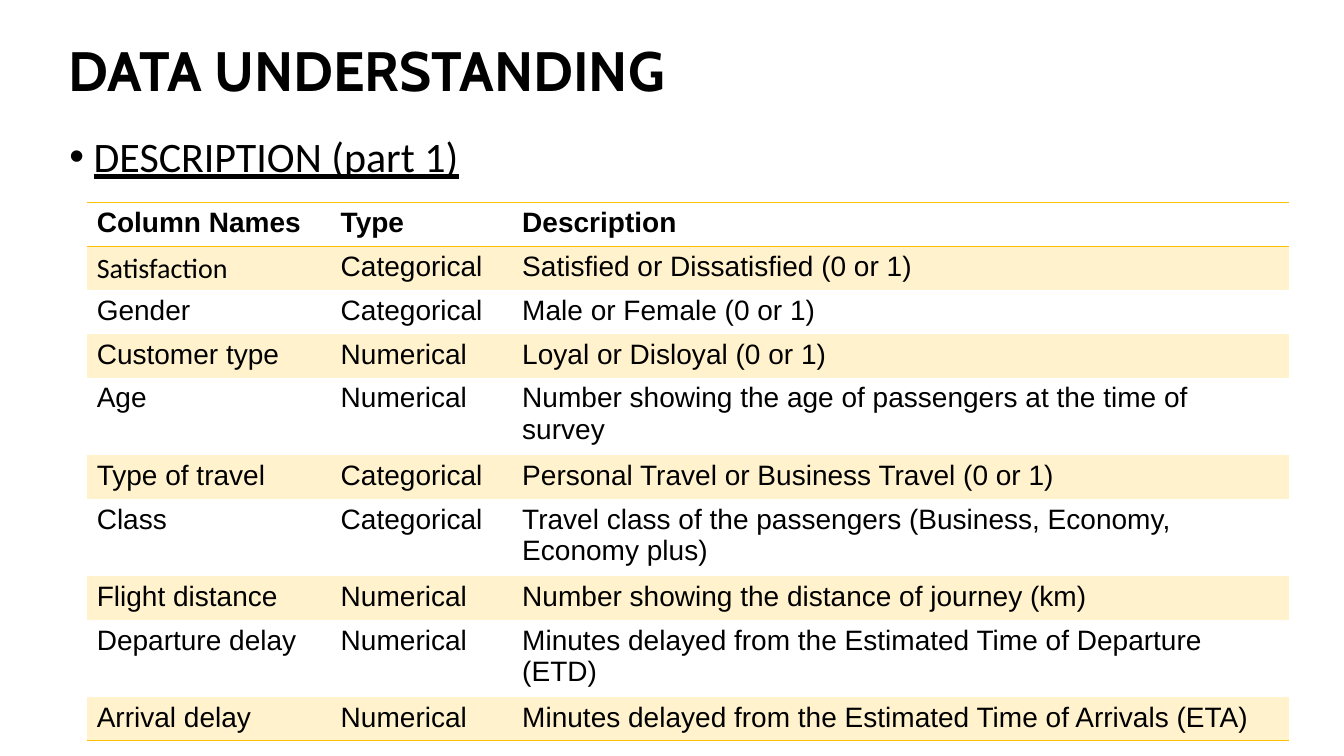
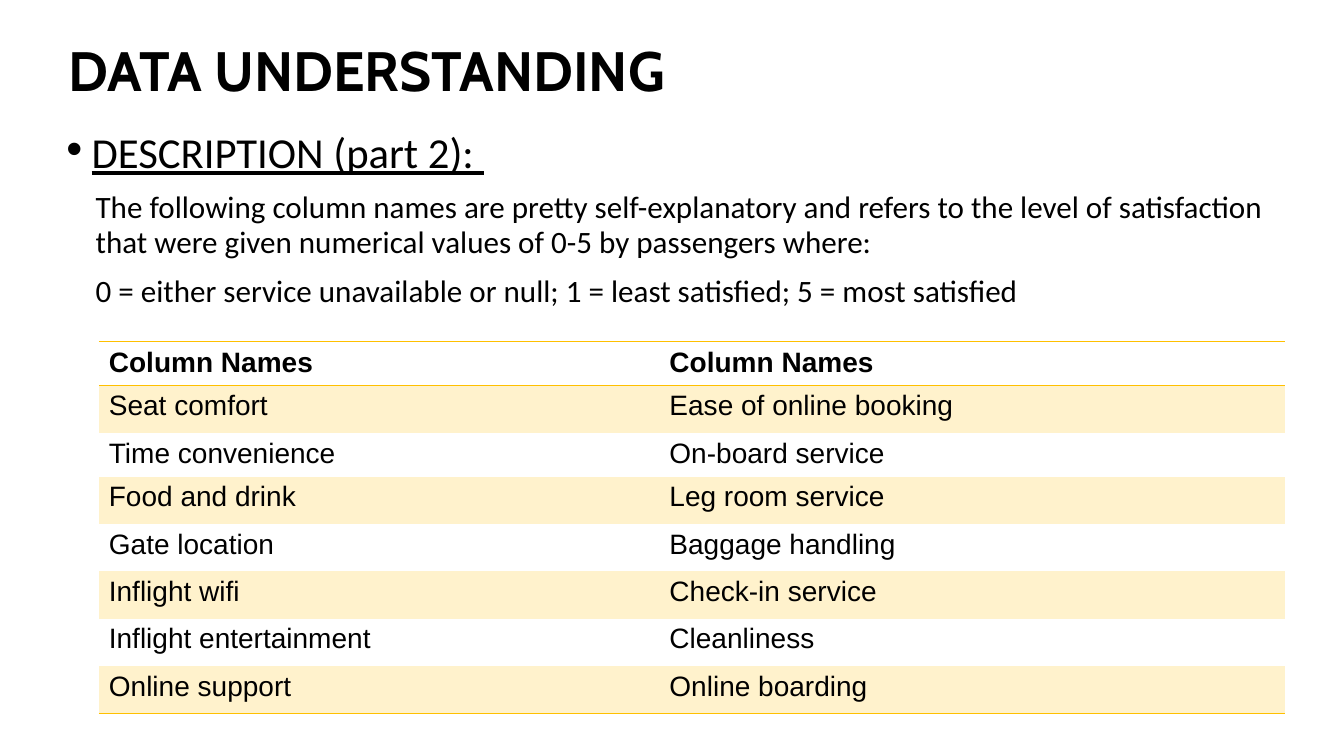
from lxml import etree
from pptx import Presentation
from pptx.dml.color import RGBColor
from pptx.enum import text as t
from pptx.oxml import ns
from pptx.util import Inches, Pt

COLORS = {"text": "000000", "rule": "FFC000", "band": "FFF2CC"}
FONTS = {"title": "Cabin", "body": "Calibri", "table": "Arial"}
NO_STYLE = "{2D5ABB26-0587-4C30-8999-92F81FD0307C}"
TITLE = "DATA UNDERSTANDING"

# Content: body lines are (list of (text, size), paragraph format)
NOTE = dict(indent=0.29, spacing=0.94, before=10)
SLIDES = [
    dict(
        body_box=(0.58, 1.3, 12.21, 0.65),
        body=[([("DESCRIPTION (part 1)", 30)],
               dict(indent=0.25, hanging=0.24, spacing=0.9, bullet=100, underline=True))],
        table_at=(0.86, 2.01),
        columns=(2.42, 1.8, 7.7),
        row_heights=[0.41] * 5 + [0.35, 0.41, 0.41, 0.48, 0.41],
        rows=[
            ("Column Names", "Type", "Description"),
            ("Satisfaction", "Categorical", "Satisfied or Dissatisfied (0 or 1)"),
            ("Gender", "Categorical", "Male or Female (0 or 1)"),
            ("Customer type", "Numerical", "Loyal or Disloyal (0 or 1)"),
            ("Age", "Numerical", "Number showing the age of passengers at the time of survey"),
            ("Type of travel", "Categorical", "Personal Travel or Business Travel (0 or 1)"),
            ("Class", "Categorical",
             "Travel class of the passengers (Business, Economy, Economy plus)"),
            ("Flight distance", "Numerical", "Number showing the distance of journey (km)"),
            ("Departure delay", "Numerical",
             "Minutes delayed from the Estimated Time of Departure (ETD)"),
            ("Arrival delay", "Numerical",
             "Minutes delayed from the Estimated Time of Arrivals (ETA)"),
        ],
        cell_fonts={"Satisfaction": FONTS["body"]},
    ),
    dict(
        body_box=(0.56, 1.32, 12.21, 2),
        body=[
            ([("DESCRIPTION (part 2):", 30.5), (" ", 32.5)],
             dict(indent=0.25, hanging=0.25, spacing=0.7, bullet=107, underline=True)),
            ([("The following column names are pretty self-explanatory and refers to the level "
               "of satisfaction that were given numerical values of 0-5 by passengers where:",
               22.2)], NOTE),
            ([("0 = either service unavailable or null; 1 = least satisfied; "
               "5 = most satisfied", 22.2)], NOTE),
        ],
        table_at=(0.98, 3.39),
        columns=(5.56, 6.21),
        row_heights=[0.43, 0.47, 0.35] + [0.47] * 5,
        rows=[
            ("Column Names", "Column Names"),
            ("Seat comfort", "Ease of online booking"),
            ("Time convenience", "On-board service"),
            ("Food and drink", "Leg room service"),
            ("Gate location", "Baggage handling"),
            ("Inflight wifi", "Check-in service"),
            ("Inflight entertainment", "Cleanliness"),
            ("Online support", "Online boarding"),
        ],
        cell_fonts={},
    ),
]


def add_element(parent, tag, **attributes):
    element = etree.SubElement(parent, ns.qn(tag))
    for name, value in attributes.items():
        element.set(name, str(value))
    return element


def add_text(paragraph, text, font, size, bold=False, underline=False):
    run = paragraph.add_run()
    run.text = text
    run.font.name = font
    run.font.size = Pt(size)
    run.font.bold = bold
    run.font.underline = underline
    run.font.color.rgb = RGBColor.from_string(COLORS["text"])


def format_paragraph(paragraph, indent, spacing, hanging=0, before=0, bullet=None):
    paragraph.line_spacing = spacing
    paragraph.space_before = Pt(before)
    properties = paragraph._p.get_or_add_pPr()
    properties.set("marL", str(Inches(indent)))
    properties.set("indent", str(-Inches(hanging)))
    if bullet:
        add_element(add_element(properties, "a:buClr"), "a:srgbClr", val=COLORS["text"])
        add_element(properties, "a:buSzPct", val=bullet * 1000)
        add_element(properties, "a:buFont", typeface="Arial")
        add_element(properties, "a:buChar", char="•")


def place(shape, box):
    shape.left, shape.top, shape.width, shape.height = map(Inches, box)


def add_title(slide):
    title = slide.shapes.title
    place(title, (0.58, 0.4, 12.21, 0.65))
    frame = title.text_frame
    frame.auto_size = t.MSO_AUTO_SIZE.NONE
    frame.vertical_anchor = t.MSO_ANCHOR.MIDDLE
    paragraph = frame.paragraphs[0]
    paragraph.alignment = t.PP_ALIGN.LEFT
    paragraph.line_spacing = 0.9
    add_text(paragraph, TITLE, FONTS["title"], 39.6, bold=True)


def add_body(slide, box, lines):
    frame = slide.shapes.add_textbox(*map(Inches, box)).text_frame
    frame.word_wrap = True
    for index, (runs, style) in enumerate(lines):
        paragraph = frame.add_paragraph() if index else frame.paragraphs[0]
        layout = {key: value for key, value in style.items() if key != "underline"}
        format_paragraph(paragraph, **layout)
        for text, size in runs:
            add_text(paragraph, text, FONTS["body"], size,
                     underline=style.get("underline", False))


def add_border(cell, side):
    line = add_element(cell._tc.get_or_add_tcPr(), side, w=Pt(1))
    add_element(add_element(line, "a:solidFill"), "a:srgbClr", val=COLORS["rule"])


def add_table(slide, content):
    rows, columns, heights = content["rows"], content["columns"], content["row_heights"]
    size = Inches(sum(columns)), Inches(sum(heights))
    table = slide.shapes.add_table(len(rows), len(columns),
                                   *map(Inches, content["table_at"]), *size).table
    table.first_row = table.horz_banding = False
    table._tbl.tblPr.find(ns.qn("a:tableStyleId")).text = NO_STYLE
    for column, width in zip(table.columns, columns):
        column.width = Inches(width)
    for index, values in enumerate(rows):
        table.rows[index].height = Inches(heights[index])
        for column, value in enumerate(values):
            cell = table.cell(index, column)
            # Rules enclose the header and close the table
            if index == 0:
                add_border(cell, "a:lnT")
            if index in (0, len(rows) - 1):
                add_border(cell, "a:lnB")
            if index % 2:
                cell.fill.solid()
                cell.fill.fore_color.rgb = RGBColor.from_string(COLORS["band"])
            else:
                cell.fill.background()
            font = content["cell_fonts"].get(value, FONTS["table"])
            add_text(cell.text_frame.paragraphs[0], value, font, 20, bold=index == 0)


def main():
    presentation = Presentation()
    presentation.slide_width, presentation.slide_height = Inches(13.33), Inches(7.5)
    for content in SLIDES:
        slide = presentation.slides.add_slide(presentation.slide_layouts[5])
        add_title(slide)
        add_body(slide, content["body_box"], content["body"])
        add_table(slide, content)
    presentation.save("out.pptx")


if __name__ == "__main__":
    main()
